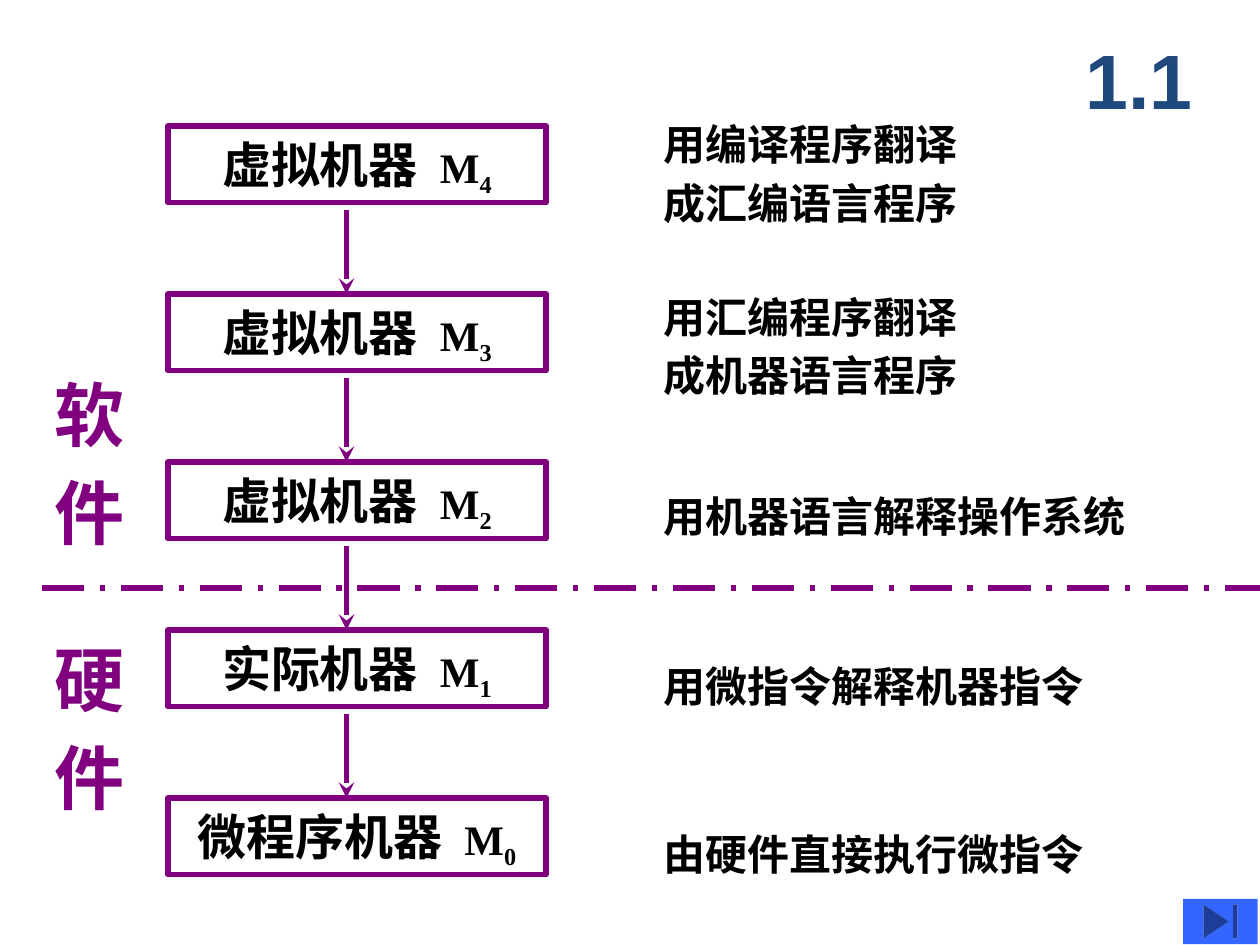
from dataclasses import dataclass

from lxml import etree
from pptx import Presentation
from pptx import util as u
from pptx.dml.color import RGBColor
from pptx.enum import dml, shapes, text
from pptx.oxml.ns import qn


@dataclass
class Theme:
    ink: str = "000000"
    accent: str = "800080"
    title: str = "1F497D"
    button: str = "3366FF"
    chinese: str = "Noto Sans CJK SC"
    symbol: str = "Times New Roman"
    heading: str = "Arial"
    title_size: int = 44
    side_size: int = 40
    box_size: int = 28
    note_size: int = 24
    line: int = 3


@dataclass
class Box:
    left: float
    top: float
    width: float
    height: float

    def place(self):
        return [grid(side) for side in (self.left, self.top, self.width, self.height)]


THEME = Theme()
COLUMNS, ROWS = 30, 22.5
PITCH = 4
LINE_FACTOR = 1.4

MACHINES = [("虚拟机器", "4"), ("虚拟机器", "3"), ("虚拟机器", "2"),
            ("实际机器", "1"), ("微程序机器", "0")]
NOTES = [(4.02, ["用编译程序翻译", "成汇编语言程序"]),
         (8.13, ["用汇编程序翻译", "成机器语言程序"]),
         (12.18, ["用机器语言解释操作系统"]),
         (16.23, ["用微指令解释机器指令"]),
         (20.22, ["由硬件直接执行微指令"])]
SIDES = [(10.85, "软件"), (17.15, "硬件")]


def grid(units):
    return u.Inches(units / 3)


def color(value):
    return RGBColor.from_string(value)


def add_text(para, words, size, ink=THEME.ink, font=THEME.chinese, **extra):
    span = para.add_run()
    span.text = words
    span.font.size = u.Pt(size)
    span.font.bold = True
    span.font.color.rgb = color(ink)
    span.font.name = font
    props = span._r.get_or_add_rPr()
    etree.SubElement(props, qn("a:ea")).set("typeface", font)
    for name, value in extra.items():
        props.set(name, str(value))


def prepare(frame, wrap=False):
    frame.word_wrap = wrap
    frame.auto_size = text.MSO_AUTO_SIZE.NONE
    frame.vertical_anchor = text.MSO_ANCHOR.MIDDLE
    frame.margin_left = frame.margin_right = u.Inches(0.1)
    frame.margin_top = frame.margin_bottom = u.Inches(0.05)


def center(para, size):
    para.alignment = text.PP_ALIGN.CENTER
    para.line_spacing = u.Pt(size * LINE_FACTOR)


def add_lines(page, box, lines, size, ink):
    frame = page.shapes.add_textbox(*box.place()).text_frame
    prepare(frame)
    for index, words in enumerate(lines):
        para = frame.add_paragraph() if index else frame.paragraphs[0]
        center(para, size)
        add_text(para, words, size, ink)


def add_line(page, start, end, dash=None, head=None):
    line = page.shapes.add_connector(
        shapes.MSO_CONNECTOR.STRAIGHT, *map(grid, (*start, *end)))
    line.line.color.rgb = color(THEME.accent)
    line.line.width = u.Pt(THEME.line)
    if dash:
        line.line.dash_style = dash
    if head:
        etree.SubElement(line.line._get_or_add_ln(), qn("a:tailEnd")).set("type", head)
    etree.SubElement(line._element.spPr, qn("a:effectLst"))


def add_title(page, box):
    title = page.shapes.title
    title.left, title.top, title.width, title.height = box.place()
    prepare(title.text_frame, wrap=True)
    para = title.text_frame.paragraphs[0]
    para.alignment = text.PP_ALIGN.CENTER
    add_text(para, "1.1", THEME.title_size, THEME.title, THEME.heading)


def add_machine(page, box, name, level):
    shape = page.shapes.add_shape(shapes.MSO_SHAPE.RECTANGLE, *box.place())
    shape.shadow.inherit = False
    shape.fill.background()
    shape.line.color.rgb = color(THEME.accent)
    shape.line.width = u.Pt(THEME.line)
    prepare(shape.text_frame)
    para = shape.text_frame.paragraphs[0]
    center(para, THEME.box_size)
    add_text(para, name, THEME.box_size)
    add_text(para, " ", THEME.box_size, spc=630)
    add_text(para, "M", THEME.note_size, font=THEME.symbol)
    add_text(para, level, THEME.note_size, font=THEME.symbol, baseline=-25000)


def add_stack(page, box):
    for index, (name, level) in enumerate(MACHINES):
        top = box.top + index * PITCH
        add_machine(page, Box(box.left, top, box.width, box.height), name, level)
        if index < len(MACHINES) - 1:
            middle = box.left + 4.25
            add_line(page, (middle, top + 2), (middle, top + PITCH), head="stealth")


def add_notes(page, left):
    for middle, lines in NOTES:
        width = len(lines[0]) + 0.65
        height = 1.5 * len(lines)
        box = Box(left, middle - height / 2, width, height)
        add_lines(page, box, lines, THEME.note_size, THEME.ink)


def add_sides(page, box):
    add_line(page, (box.left, 14), (COLUMNS, 14), dash=dml.MSO_LINE.LONG_DASH_DOT)
    for middle, words in SIDES:
        place = Box(box.left, middle - box.height / 2, box.width, box.height)
        add_lines(page, place, words, THEME.side_size, THEME.accent)


def add_button(page, box):
    button = page.shapes.add_shape(shapes.MSO_SHAPE.ACTION_BUTTON_END, *box.place())
    button.shadow.inherit = False
    button.fill.solid()
    button.fill.fore_color.rgb = color(THEME.button)
    button.line.fill.background()


def main():
    deck = Presentation()
    deck.slide_width, deck.slide_height = grid(COLUMNS), grid(ROWS)
    page = deck.slides.add_slide(deck.slide_layouts.get_by_name("Title Only"))
    add_notes(page, 15.48)
    add_sides(page, Box(1, 8.5, 2.28, 4.7))
    add_title(page, Box(25.25, 0.5, 3.75, 2.75))
    add_stack(page, Box(4, 3, 9, 1.83))
    add_button(page, Box(28.17, 21.4, 1.77, 1.08))
    deck.save("out.pptx")


if __name__ == "__main__":
    main()
